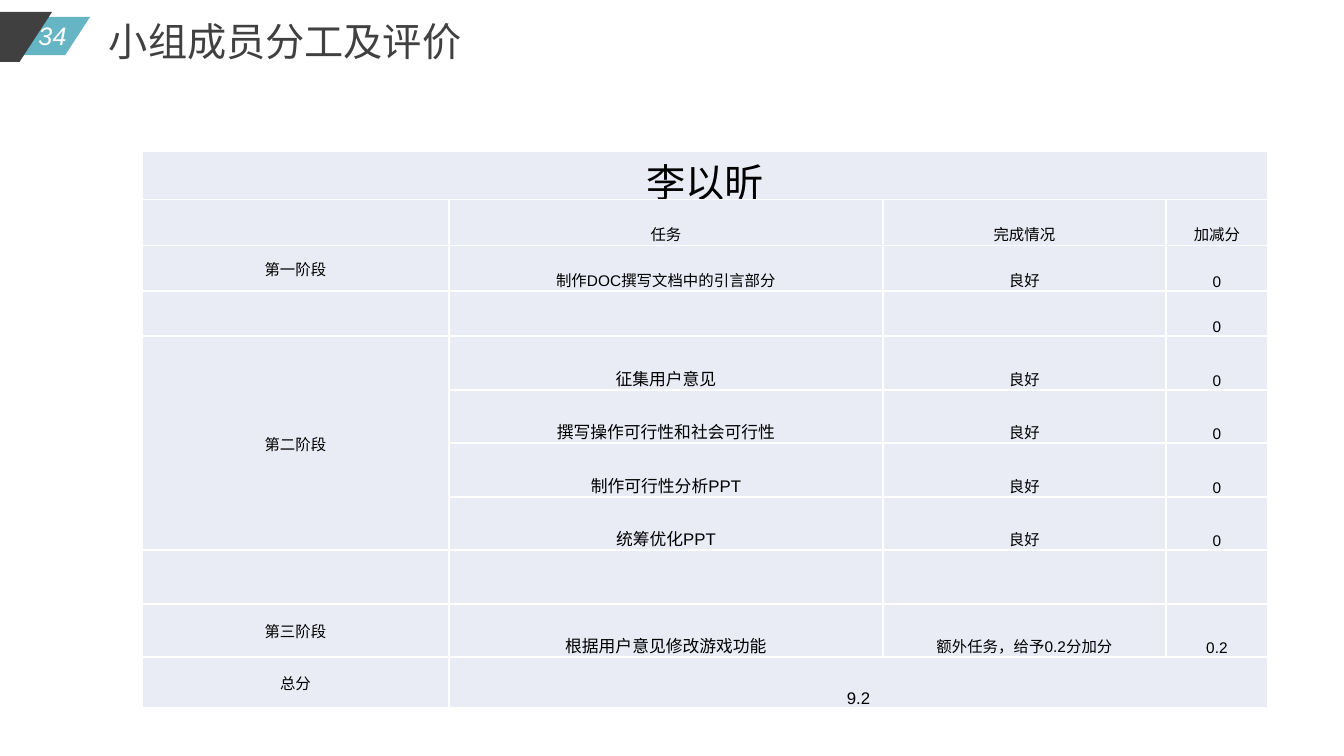
"""Build the slide on group members' tasks and evaluation."""
from lxml import etree
from pptx import Presentation
from pptx import util as u
from pptx.dml.color import RGBColor
from pptx.enum import shapes, text
from pptx.oxml.ns import qn

PX = 914400 / 100.8
WHITE = RGBColor(0xFF, 0xFF, 0xFF)
BLACK = RGBColor(0, 0, 0)
DARK = RGBColor(0x40, 0x40, 0x40)
TEAL = RGBColor(0x66, 0xB5, 0xC4)
PALE = RGBColor(0xE9, 0xEB, 0xF5)


def px(*lengths):
    return [u.Emu(round(length * PX)) for length in lengths]


def write(para, words, color, **formats):
    span = para.add_run()
    span.text = words
    span.font.color.rgb = color
    for name, value in formats.items():
        setattr(span.font, name, value)
    east = etree.SubElement(span.font._element, qn("a:ea"))
    east.set("typeface", "Noto Sans CJK SC")


deck = Presentation()
deck.slide_width, deck.slide_height = px(1344, 756)
page = deck.slides.add_slide(deck.slide_layouts[6])

for place, color in [((-111, 17, 201, 38), TEAL), ((-210, 12, 262, 50), DARK)]:
    slant = page.shapes.add_shape(shapes.MSO_SHAPE.PARALLELOGRAM, *px(*place))
    slant.adjustments[0] = 0.652
    slant.rotation = 180
    slant.shadow.inherit = False
    slant.fill.solid()
    slant.fill.fore_color.rgb = color
    slant.line.fill.background()

labels = [
    ((27, 15, 51, 40), "34", WHITE, text.PP_ALIGN.CENTER,
     {"size": u.Pt(18), "name": "Arial", "italic": True}),
    ((99, 12, 377, 57), "小组成员分工及评价", DARK, text.PP_ALIGN.LEFT,
     {"size": u.Pt(28), "name": "Noto Sans CJK SC"}),
]
for place, words, color, align, formats in labels:
    box = page.shapes.add_textbox(*px(*place))
    box.text_frame.word_wrap = False
    para = box.text_frame.paragraphs[0]
    para.alignment = align
    write(para, words, color, **formats)

rows = [
    ("李以昕", "", "", ""),
    ("", "任务", "完成情况", "加减分"),
    ("第一阶段", "制作DOC撰写文档中的引言部分", "良好", "0"),
    ("", "", "", "0"),
    ("第二阶段", "征集用户意见", "良好", "0"),
    ("", "撰写操作可行性和社会可行性", "良好", "0"),
    ("", "制作可行性分析PPT", "良好", "0"),
    ("", "统筹优化PPT", "良好", "0"),
    ("", "", "", ""),
    ("第三阶段", "根据用户意见修改游戏功能", "额外任务，给予0.2分加分", "0.2"),
    ("总分", "9.2", "", ""),
]
widths = [307, 434, 283, 102]
heights = [47, 46, 46, 45] + [54, 53] * 3 + [51]
frame = page.shapes.add_table(
    len(rows), len(widths), *px(142, 151, sum(widths), sum(heights)))
table = frame.table
table.first_row = table.horz_banding = False
for column, width in zip(table.columns, px(*widths)):
    column.width = width
for row, height in zip(table.rows, px(*heights)):
    row.height = height

for r, words_in_row in enumerate(rows):
    for c, words in enumerate(words_in_row):
        cell = table.cell(r, c)
        props = cell._tc.get_or_add_tcPr()
        for side in ("a:lnL", "a:lnR", "a:lnT", "a:lnB"):
            edge = etree.SubElement(props, qn(side), w=str(u.Pt(1)))
            paint = etree.SubElement(edge, qn("a:solidFill"))
            etree.SubElement(paint, qn("a:srgbClr"), val=str(WHITE))
        cell.fill.solid()
        cell.fill.fore_color.rgb = PALE
        middle = c == 0 and r > 0
        layout = {
            "margin_left": px(1)[0], "margin_right": px(1)[0],
            "margin_top": px(1)[0], "margin_bottom": 0,
            "vertical_anchor": text.MSO_ANCHOR.MIDDLE if middle else text.MSO_ANCHOR.BOTTOM,
        }
        for name, value in layout.items():
            setattr(cell, name, value)
        if words:
            para = cell.text_frame.paragraphs[0]
            para.alignment = text.PP_ALIGN.CENTER
            size = 28 if r == 0 else 12 if c == 1 and r > 3 else 11
            write(para, words, BLACK, size=u.Pt(size), name="Arial")

for first, last in [((0, 0), (0, 3)), ((4, 0), (7, 0)), ((10, 1), (10, 3))]:
    table.cell(*first).merge(table.cell(*last))

deck.save("out.pptx")
